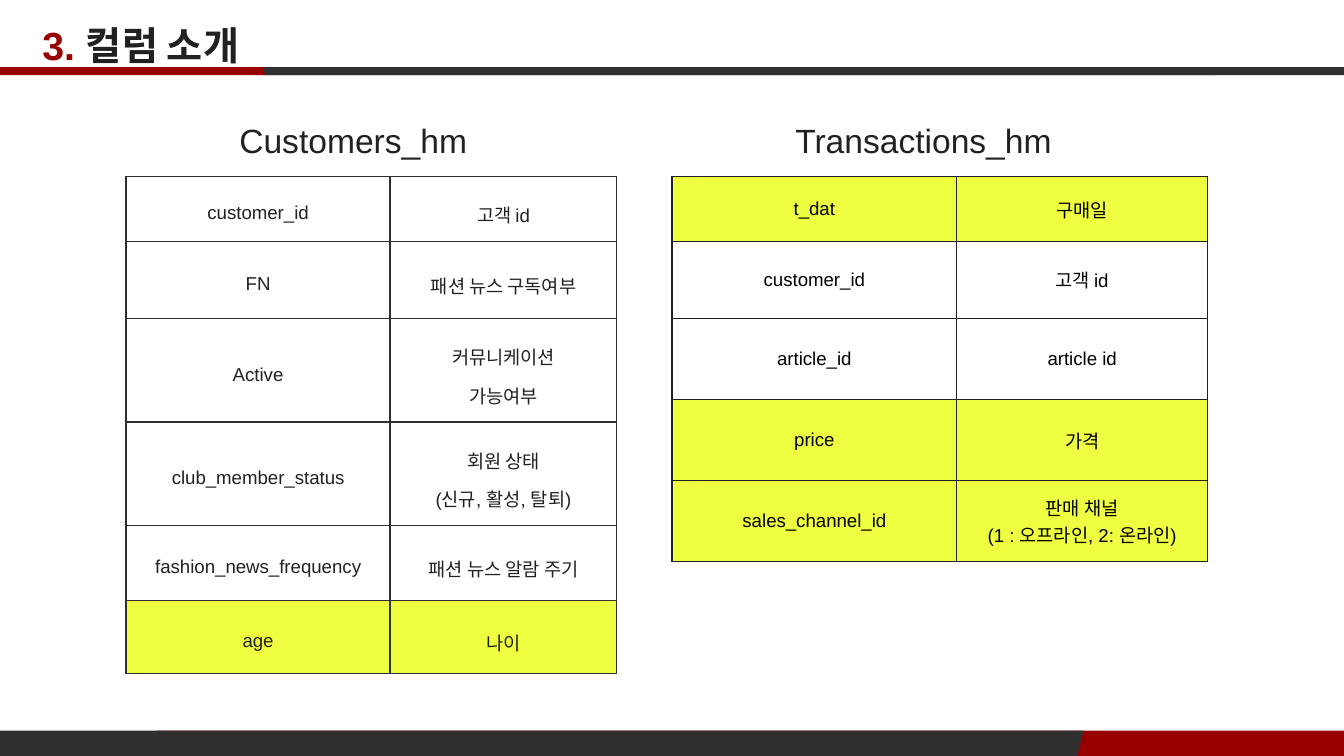
from dataclasses import dataclass
from lxml.etree import SubElement
from pptx import Presentation
from pptx.dml.color import RGBColor as RGB
from pptx.enum.shapes import MSO_SHAPE as Kind
from pptx.enum.text import MSO_ANCHOR as Anchor, MSO_AUTO_SIZE as Fit, PP_ALIGN as Align
from pptx.oxml.ns import qn
from pptx.util import Pt


@dataclass(frozen=True)
class Theme:
    font: str = "Arial"
    red: str = "990000"
    dark: str = "303030"
    ink: str = "212121"
    black: str = "000000"
    rule: str = "2F2F2F"
    mark: str = "EEFF41"
    title: float = 21
    head: float = 18
    cell: float = 10
    pad: float = 7.2
    line: float = 0.75


class Deck:
    def __init__(self, theme, wide, high):
        self.theme = theme
        self.file = Presentation()
        self.file.slide_width, self.file.slide_height = Pt(wide), Pt(high)
        self.slide = self.file.slides.add_slide(self.file.slide_layouts[5])

    def style(self, font, size, color):
        font.name, font.size = self.theme.font, Pt(size)
        font.color.rgb = RGB.from_string(color)

    def frame(self, shape, box):
        """Place a text shape and set its insets."""
        shape.left, shape.top, shape.width, shape.height = map(Pt, box)
        text = shape.text_frame
        text.word_wrap, text.auto_size = True, Fit.NONE
        text.vertical_anchor = Anchor.TOP
        text.margin_left = text.margin_right = Pt(self.theme.pad)
        text.margin_top = text.margin_bottom = Pt(self.theme.pad)
        return text.paragraphs[0]

    def bar(self, box, color, flip=False):
        shape = self.slide.shapes.add_shape(Kind.PARALLELOGRAM, *map(Pt, box))
        shape.adjustments[0] = 0.25
        shape.shadow.inherit = False
        shape.fill.solid()
        shape.fill.fore_color.rgb = RGB.from_string(color)
        shape.line.fill.background()
        if flip:
            shape.element.spPr.xfrm.set("flipH", "1")

    def title(self, box, parts):
        para = self.frame(self.slide.shapes.title, box)
        para.alignment = Align.LEFT
        for words, color in parts:
            run = para.add_run()
            run.text = words
            self.style(run.font, self.theme.title, color)
            run.font.bold = True

    def head(self, box, words):
        para = self.frame(self.slide.shapes.add_textbox(0, 0, 0, 0), box)
        para.text, para.alignment = words, Align.CENTER
        self.style(para.font, self.theme.head, self.theme.ink)

    def edge(self, cell, color):
        """Draw all four borders; they come before the fill in tcPr."""
        props = cell._tc.get_or_add_tcPr()
        for side in ("lnL", "lnR", "lnT", "lnB"):
            line = SubElement(props, qn(f"a:{side}"), w=str(Pt(self.theme.line)))
            fill = SubElement(line, qn("a:solidFill"))
            SubElement(fill, qn("a:srgbClr"), val=color)

    def table(self, left, top, cols, rows, color, rule, space=None):
        """Each row is (height, marked, name, meaning)."""
        grid = self.slide.shapes.add_table(
            len(rows), len(cols), Pt(left), Pt(top),
            Pt(sum(cols)), Pt(sum(row[0] for row in rows))).table
        grid.first_row = grid.horz_banding = False
        for col, width in zip(grid.columns, cols):
            col.width = Pt(width)
        for line, (height, marked, *words) in zip(grid.rows, rows):
            line.height = Pt(height)
            for cell, text in zip(line.cells, words):
                self.cell(cell, text, marked, color, rule, space)

    def cell(self, cell, text, marked, color, rule, space):
        pad = Pt(self.theme.pad)
        cell.text, cell.vertical_anchor = text, Anchor.MIDDLE
        cell.margin_left = cell.margin_right = pad
        cell.margin_top = cell.margin_bottom = pad
        self.edge(cell, rule)
        if marked:
            cell.fill.solid()
            cell.fill.fore_color.rgb = RGB.from_string(self.theme.mark)
        else:
            cell.fill.background()
        for para in cell.text_frame.paragraphs:
            para.alignment = Align.CENTER
            if space:
                para.line_spacing = space
                props = para._p.get_or_add_pPr()
                props.set("marL", str(pad))
                props.set("marR", str(pad))
                props.set("indent", "0")
            self.style(para.font, self.theme.cell, color)


def main():
    theme = Theme()
    deck = Deck(theme, 720, 405)

    # Title and its rule
    deck.bar((-6, 36, 657, 4.3), theme.red, flip=True)
    deck.bar((141, 36, 603, 4.3), theme.dark, flip=True)
    deck.title((15.5, 4.3, 407, 25), [("3. ", theme.red), ("컬럼 소개", theme.ink)])

    # Footer band
    deck.bar((80.5, 391.5, 643, 13.5), theme.red)
    deck.bar((-10, 391.5, 590.5, 13.5), theme.dark)

    # Customer columns
    top = 94.5
    deck.head((67.5, 57, 243.5, 25), "Customers_hm")
    deck.table(67.5, top, (141.5, 121.5), [
        (35, False, "customer_id", "고객 id"),
        (41, False, "FN", "패션 뉴스 구독여부"),
        (55, False, "Active", "커뮤니케이션\n가능여부"),
        (55, False, "club_member_status", "회원 상태\n(신규, 활성, 탈퇴)"),
        (40, False, "fashion_news_frequency", "패션 뉴스 알람 주기"),
        (39, True, "age", "나이"),
    ], theme.ink, theme.rule, space=1.43)

    # Transaction columns
    deck.head((355, 57, 279.5, 32), "Transactions_hm")
    deck.table(360, top, (152.5, 134.5), [
        (35, True, "t_dat", "구매일"),
        (41, False, "customer_id", "고객 id"),
        (43.5, False, "article_id", "article id"),
        (43.5, True, "price", "가격"),
        (43, True, "sales_channel_id", "판매 채널\n(1 : 오프라인, 2: 온라인)"),
    ], theme.black, theme.ink)

    deck.file.save("out.pptx")


if __name__ == "__main__":
    main()
